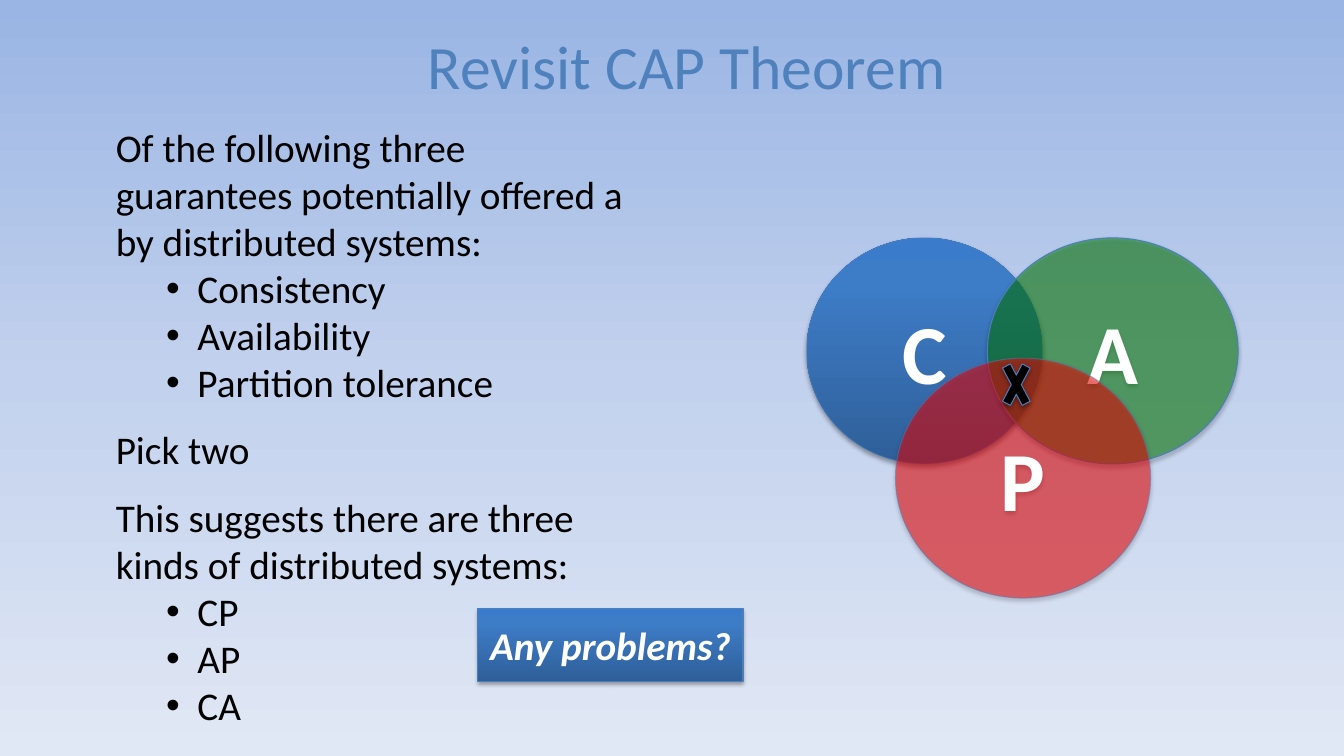
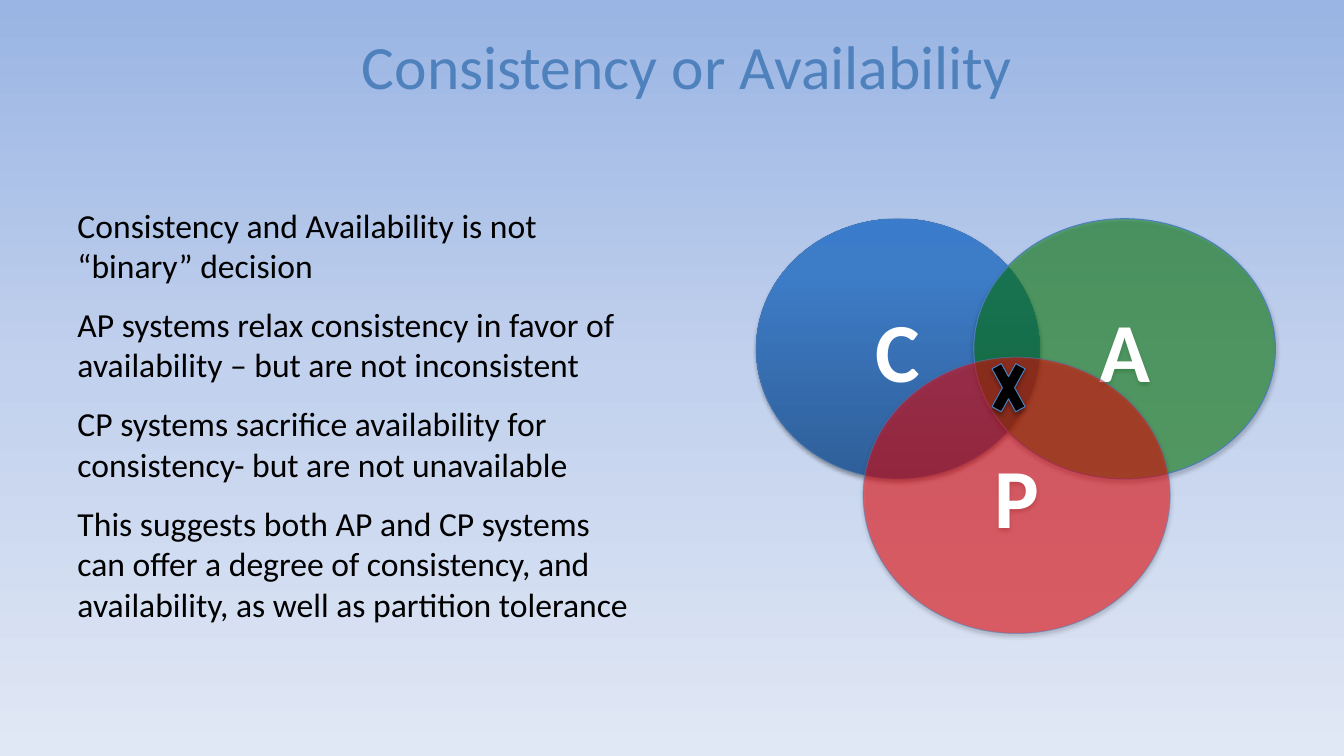
from lxml.etree import SubElement
from pptx import Presentation
from pptx.dml.color import RGBColor
from pptx.enum.shapes import MSO_SHAPE
from pptx.enum.text import MSO_ANCHOR, PP_ALIGN
from pptx.oxml.ns import qn
from pptx.util import Inches, Pt

OVAL, CROSS, RECT = MSO_SHAPE.OVAL, MSO_SHAPE.MATH_MULTIPLY, MSO_SHAPE.RECTANGLE
LEFT, CENTER = PP_ALIGN.LEFT, PP_ALIGN.CENTER
TOP, MIDDLE = MSO_ANCHOR.TOP, MSO_ANCHOR.MIDDLE

WIDE, HIGH = 13.33, 7.5
FONT = "Calibri"
COLORS = {"title": "4F81BD", "text": "000000", "light": "FFFFFF", "edge": "4B7EBC",
          "green": "008000", "red": "FF0000", "black": "000000"}
SKY = [(0, "9AB5E4"), (50, "C2D1ED"), (100, "E1E8F5")]
BLUE = [(0, "2F5F99"), (80, "3D7CC7"), (100, "3A7CCB")]
TITLE_BOX = (2.15, 0.12, 9.33, 1.04)

# Each part: preset, label, fill, fill opacity, edge opacity,
# then left, top, width and height as shares of the diagram.
VENN = [
    (OVAL, "C", BLUE, 100, 50, (0, 0, 0.546, 0.628)),
    (OVAL, "A", "green", 50, 100, (0.419, 0, 0.581, 0.628)),
    (OVAL, "P", "red", 50, 50, (0.206, 0.334, 0.591, 0.667)),
    (CROSS, "", "black", 100, 100, (0.442, 0.308, 0.088, 0.2)),
]

# A nested list holds the bullets of the paragraph before it.
SLIDES = [
    {"title": "Revisit CAP Theorem",
     "body": ["Of the following three guarantees potentially offered a by distributed systems:",
              ["Consistency", "Availability", "Partition tolerance"],
              "Pick two",
              "This suggests there are three kinds of distributed systems:",
              ["CP", "AP", "CA"]],
     "box": (1.05, 1.17, 5.35, 6.16), "size": 28, "gap": 14.6,
     "venn": (8, 2.36, 4.28, 3.57),
     "button": ("Any problems?", (4.74, 6.04, 2.63, 0.72))},
    {"title": "Consistency or Availability",
     "body": ["Consistency and Availability is not “binary” decision",
              "AP systems relax consistency in favor of availability – but are not inconsistent",
              "CP systems sacrifice availability for consistency- but are not unavailable",
              "This suggests both AP and CP systems can offer a degree of consistency, "
              "and availability, as well as partition tolerance"],
     "box": (0.67, 1.98, 5.75, 4.29), "size": 24, "gap": 13.4,
     "venn": (7.5, 2.17, 5.15, 4.11)},
]


def rgb(name):
    return RGBColor.from_string(COLORS[name])


def fade(node, share):
    """Make the first colour below node partly transparent."""
    if share < 100:
        color = node.find(".//" + qn("a:srgbClr"))
        SubElement(color, qn("a:alpha"), val=str(share * 1000))


def blend(fill, node, stops, angle):
    """Give fill, whose XML lies below node, a linear gradient."""
    fill.gradient()
    fill.gradient_angle = angle
    group = node.find(".//" + qn("a:gsLst"))
    for old in list(group):
        group.remove(old)
    for place, color in stops:
        stop = SubElement(group, qn("a:gs"), pos=str(place * 1000))
        SubElement(stop, qn("a:srgbClr"), val=color)


def write(shape, items, size, color, align=LEFT, anchor=TOP, gap=0, bold=False, italic=False):
    frame = shape.text_frame
    frame.word_wrap = True
    frame.vertical_anchor = anchor
    lines = []
    for item in items:
        nested = isinstance(item, list)
        lines += [(text, nested) for text in (item if nested else [item])]
    for i, (text, bullet) in enumerate(lines):
        para = frame.add_paragraph() if i else frame.paragraphs[0]
        para.alignment = align
        para.space_before = Pt(gap if i and not bullet else 0)
        run = para.add_run()
        run.text = text
        font = run.font
        font.name, font.size, font.bold, font.italic = FONT, Pt(size), bold, italic
        font.color.rgb = rgb(color)
        if bullet:
            props = para._p.get_or_add_pPr()
            props.set("marL", str(Inches(0.81)))
            props.set("indent", str(Inches(-0.31)))
            SubElement(props, qn("a:buFont"), typeface="Arial")
            SubElement(props, qn("a:buChar"), char="•")


def add_text(slide, box, items, size, color, **style):
    shape = slide.shapes.add_textbox(*map(Inches, box))
    write(shape, items, size, color, **style)


def add_part(slide, kind, box, fill, share=100, edge=100):
    """Add a preset shape with a thin edge and a soft shadow."""
    shape = slide.shapes.add_shape(kind, *map(Inches, box))
    props = shape._element.spPr
    if isinstance(fill, list):
        blend(shape.fill, props, fill, 270 - 180)
    else:
        shape.fill.solid()
        shape.fill.fore_color.rgb = rgb(fill)
        fade(props, share)
    shape.line.color.rgb = rgb("edge")
    shape.line.width = Pt(0.75)
    fade(props.find(qn("a:ln")), edge)
    shape.shadow.inherit = False
    shadow = SubElement(props.find(qn("a:effectLst")), qn("a:outerShdw"),
                        blurRad=str(Pt(3.1)), dist=str(Pt(1.8)), dir="5400000",
                        rotWithShape="0")
    SubElement(shadow, qn("a:srgbClr"), val=COLORS["black"])
    fade(shadow, 35)
    return shape


def add_venn(slide, box):
    left, top, wide, high = box
    for kind, label, fill, share, edge, (x, y, w, h) in VENN:
        place = (left + x * wide, top + y * high, w * wide, h * high)
        part = add_part(slide, kind, place, fill, share, edge)
        if label:
            write(part, [label], 60, "light", align=CENTER, anchor=MIDDLE, bold=True)


def main():
    deck = Presentation()
    deck.slide_width, deck.slide_height = Inches(WIDE), Inches(HIGH)
    for page in SLIDES:
        slide = deck.slides.add_slide(deck.slide_layouts[6])
        blend(slide.background.fill, slide._element, SKY, 270)
        add_text(slide, TITLE_BOX, [page["title"]], 44, "title", align=CENTER, anchor=MIDDLE)
        add_venn(slide, page["venn"])
        add_text(slide, page["box"], page["body"], page["size"], "text", gap=page["gap"])
        if "button" in page:
            label, box = page["button"]
            button = add_part(slide, RECT, box, BLUE)
            write(button, [label], 28, "light", align=CENTER, anchor=MIDDLE,
                  bold=True, italic=True)
    deck.save("out.pptx")


if __name__ == "__main__":
    main()
